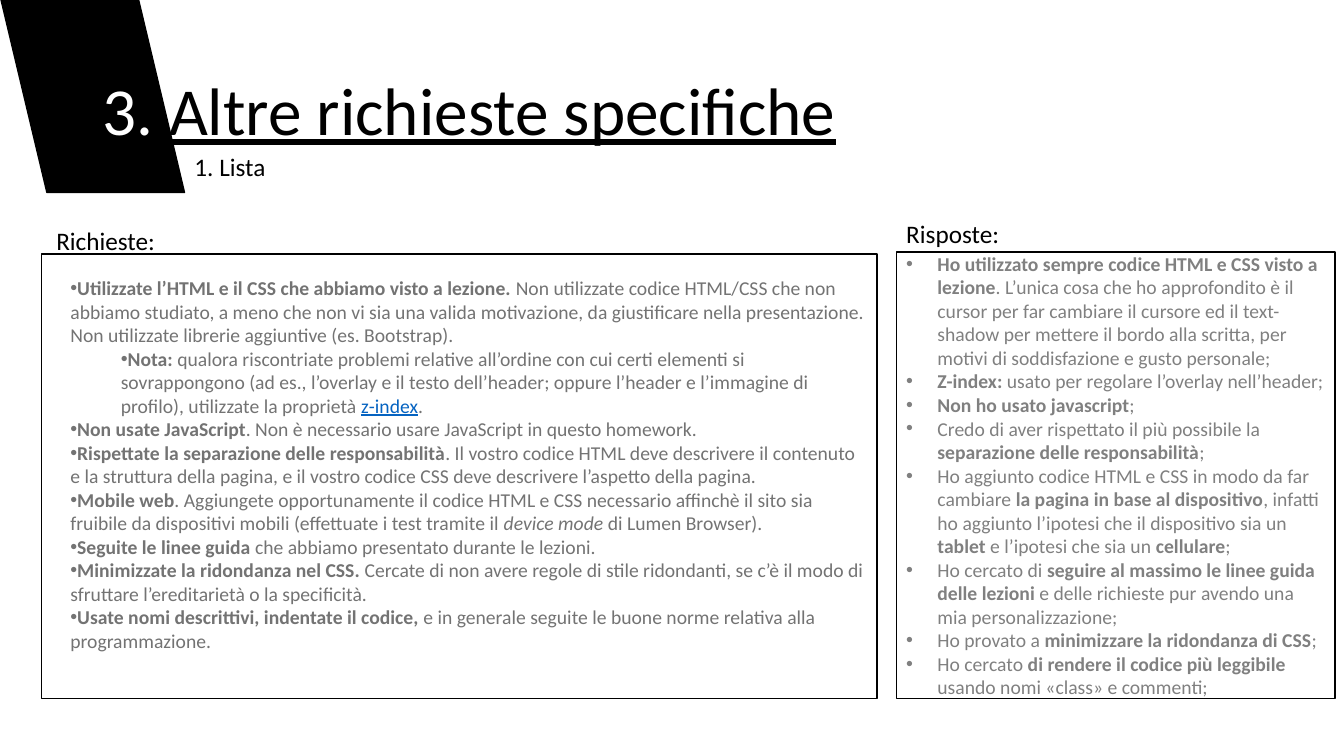
import pptx
import pptx.util
import pptx.dml.color
import pptx.enum.shapes
import pptx.enum.text
from lxml import etree

RGB = pptx.dml.color.RGBColor
BLACK = RGB(0x00, 0x00, 0x00)
WHITE = RGB(0xFF, 0xFF, 0xFF)
REQUEST_GREY = RGB(0x73, 0x73, 0x73)
ANSWER_GREY = RGB(0x80, 0x80, 0x80)
LINK_BLUE = RGB(0x05, 0x63, 0xC1)

FONT = "Calibri"
SLIDE_WIDTH = pptx.util.Inches(13.33)
SLIDE_HEIGHT = pptx.util.Inches(7.5)
SHAPE = pptx.enum.shapes.MSO_SHAPE
ANCHOR = pptx.enum.text.MSO_ANCHOR
LEFT = pptx.enum.text.PP_ALIGN.LEFT
A_NS = "{http://schemas.openxmlformats.org/drawingml/2006/main}"

# Each item is a list of runs: (text, style), style being bold, italic, link or plain
BOLD, ITALIC, LINK, PLAIN = "bold", "italic", "link", "plain"

REQUESTS_BEFORE_NOTE = [
    [("Utilizzate l’HTML e il CSS che abbiamo visto a lezione.", BOLD),
     (" Non utilizzate codice HTML/CSS che non abbiamo studiato, a meno che non vi sia una "
      "valida motivazione, da giustificare nella presentazione. Non utilizzate librerie "
      "aggiuntive (es. Bootstrap).", PLAIN)],
]
REQUEST_NOTE = [
    [("Nota:", BOLD),
     (" qualora riscontriate problemi relative all’ordine con cui certi elementi si "
      "sovrappongono (ad es., l’overlay e il testo dell’header; oppure l’header e l’immagine "
      "di profilo), utilizzate la proprietà ", PLAIN),
     ("z-index", LINK), (".", PLAIN)],
]
REQUESTS_AFTER_NOTE = [
    [("Non usate JavaScript", BOLD),
     (". Non è necessario usare JavaScript in questo homework.", PLAIN)],
    [("Rispettate la separazione delle responsabilità", BOLD),
     (". Il vostro codice HTML deve descrivere il contenuto e la struttura della pagina, e il "
      "vostro codice CSS deve descrivere l’aspetto della pagina.", PLAIN)],
    [("Mobile web", BOLD),
     (". Aggiungete opportunamente il codice HTML e CSS necessario affinchè il sito sia "
      "fruibile da dispositivi mobili (effettuate i test tramite il ", PLAIN),
     ("device mode", ITALIC), (" di Lumen Browser).", PLAIN)],
    [("Seguite le linee guida", BOLD),
     (" che abbiamo presentato durante le lezioni.", PLAIN)],
    [("Minimizzate la ridondanza nel CSS.", BOLD),
     (" Cercate di non avere regole di stile ridondanti, se c’è il modo di sfruttare "
      "l’ereditarietà o la specificità.", PLAIN)],
    [("Usate nomi descrittivi, indentate il codice,", BOLD),
     (" e in generale seguite le buone norme relativa alla programmazione.", PLAIN)],
]
ANSWERS = [
    [("Ho utilizzato sempre codice HTML e CSS visto a lezione", BOLD),
     (". L’unica cosa che ho approfondito è il cursor per far cambiare il cursore ed il "
      "text-shadow per mettere il bordo alla scritta, per motivi di soddisfazione e gusto "
      "personale;", PLAIN)],
    [("Z-index:", BOLD), (" usato per regolare l’overlay nell’header;", PLAIN)],
    [("Non ho usato javascript", BOLD), (";", PLAIN)],
    [("Credo di aver rispettato il più possibile la ", PLAIN),
     ("separazione delle responsabilità", BOLD), (";", PLAIN)],
    [("Ho aggiunto codice HTML e CSS in modo da far cambiare ", PLAIN),
     ("la pagina in base al dispositivo", BOLD),
     (", infatti ho aggiunto l’ipotesi che il dispositivo sia un ", PLAIN),
     ("tablet", BOLD), (" e l’ipotesi che sia un ", PLAIN), ("cellulare", BOLD), (";", PLAIN)],
    [("Ho cercato di ", PLAIN),
     ("seguire al massimo le linee guida delle lezioni ", BOLD),
     ("e delle richieste pur avendo una mia personalizzazione;", PLAIN)],
    [("Ho provato a ", PLAIN), ("minimizzare la ridondanza di CSS", BOLD), (";", PLAIN)],
    [("Ho cercato ", PLAIN), ("di rendere il codice più leggibile ", BOLD),
     ("usando nomi «class» e commenti;", PLAIN)],
]


def area(left, top, width, height):
    """Turn percentages of the slide's width and height into lengths."""
    return [round(share * side / 100) for share, side in
            zip((left, top, width, height), (SLIDE_WIDTH, SLIDE_HEIGHT) * 2)]


def set_font(font, size, color):
    font.name = FONT
    font.size = pptx.util.Pt(size)
    font.color.rgb = color


def add_block(slide, preset, box, fill):
    block = slide.shapes.add_shape(preset, *area(*box))
    block.shadow.inherit = False
    block.fill.solid()
    block.fill.fore_color.rgb = fill
    block.line.color.rgb = BLACK
    block.line.width = pptx.util.Pt(1)
    return block


def add_text_area(slide, box):
    text_area = slide.shapes.add_textbox(*area(*box))
    text_area.text_frame.word_wrap = True
    return text_area


def add_label(slide, text, box):
    paragraph = add_text_area(slide, box).text_frame.paragraphs[0]
    paragraph.text = text
    set_font(paragraph.font, 18, BLACK)


def add_items(frame, items, color, margin=0.0, hanging=0.0, level=0):
    for runs in items:
        first = frame.paragraphs[0]
        paragraph = frame.add_paragraph() if first.runs else first
        paragraph.level = level
        paragraph.alignment = LEFT

        # Bullet and indent
        properties = paragraph._p.get_or_add_pPr()
        properties.set("marL", str(pptx.util.Inches(margin)))
        properties.set("indent", str(-pptx.util.Inches(hanging)))
        etree.SubElement(properties, A_NS + "buFont", typeface="Arial")
        etree.SubElement(properties, A_NS + "buChar", char="•")
        set_font(paragraph.font, 14, color)

        for text, style in runs:
            run = paragraph.add_run()
            run.text = text
            if style == BOLD:
                run.font.bold = True
            elif style == ITALIC:
                run.font.italic = True
            elif style == LINK:
                run.font.underline = True
                run.font.color.rgb = LINK_BLUE


def add_heading(slide):
    title = slide.shapes.title
    title.left, title.top, title.width, title.height = area(6.9, 5.33, 86.27, 19.33)
    frame = title.text_frame
    frame.auto_size = pptx.enum.text.MSO_AUTO_SIZE.NONE
    frame.vertical_anchor = ANCHOR.MIDDLE
    paragraph = frame.paragraphs[0]
    paragraph.alignment = LEFT
    paragraph.line_spacing = 0.9
    set_font(paragraph.font, 48, BLACK)
    number, wording = paragraph.add_run(), paragraph.add_run()
    number.text = "3. "
    number.font.color.rgb = WHITE
    wording.text = "Altre richieste specifiche"
    wording.font.underline = True

    # Slanted banner behind the title
    banner = add_block(slide, SHAPE.PARALLELOGRAM, (0.08, 0, 13.65, 25.47), BLACK)
    banner.element.spPr.find(A_NS + "xfrm").set("flipV", "1")
    title.element.addprevious(banner.element)


def main():
    deck = pptx.Presentation()
    deck.slide_width, deck.slide_height = SLIDE_WIDTH, SLIDE_HEIGHT
    slide = deck.slides.add_slide(deck.slide_layouts[5])

    add_heading(slide)
    add_label(slide, "1. Lista", (13.73, 19.33, 31.73, 5.33))

    # Requests
    add_block(slide, SHAPE.RECTANGLE, (3.08, 33.6, 62.19, 58.8), WHITE)
    requests = add_text_area(slide, (4.5, 32, 60.77, 58.8)).text_frame
    requests.vertical_anchor = ANCHOR.MIDDLE
    add_items(requests, REQUESTS_BEFORE_NOTE, REQUEST_GREY)
    add_items(requests, REQUEST_NOTE, REQUEST_GREY, margin=0.5, level=1)
    add_items(requests, REQUESTS_AFTER_NOTE, REQUEST_GREY)
    add_label(slide, "Richieste:", (3.45, 29.2, 10.28, 5.33))

    # Answers
    answers = add_block(slide, SHAPE.RECTANGLE, (66.69, 33.33, 32.66, 59.07), WHITE).text_frame
    answers.word_wrap = True
    answers.vertical_anchor = ANCHOR.MIDDLE
    add_items(answers, ANSWERS, ANSWER_GREY, margin=0.31, hanging=0.31)
    add_label(slide, "Risposte:", (66.69, 28.27, 10.28, 5.33))

    deck.save("out.pptx")


if __name__ == "__main__":
    main()
